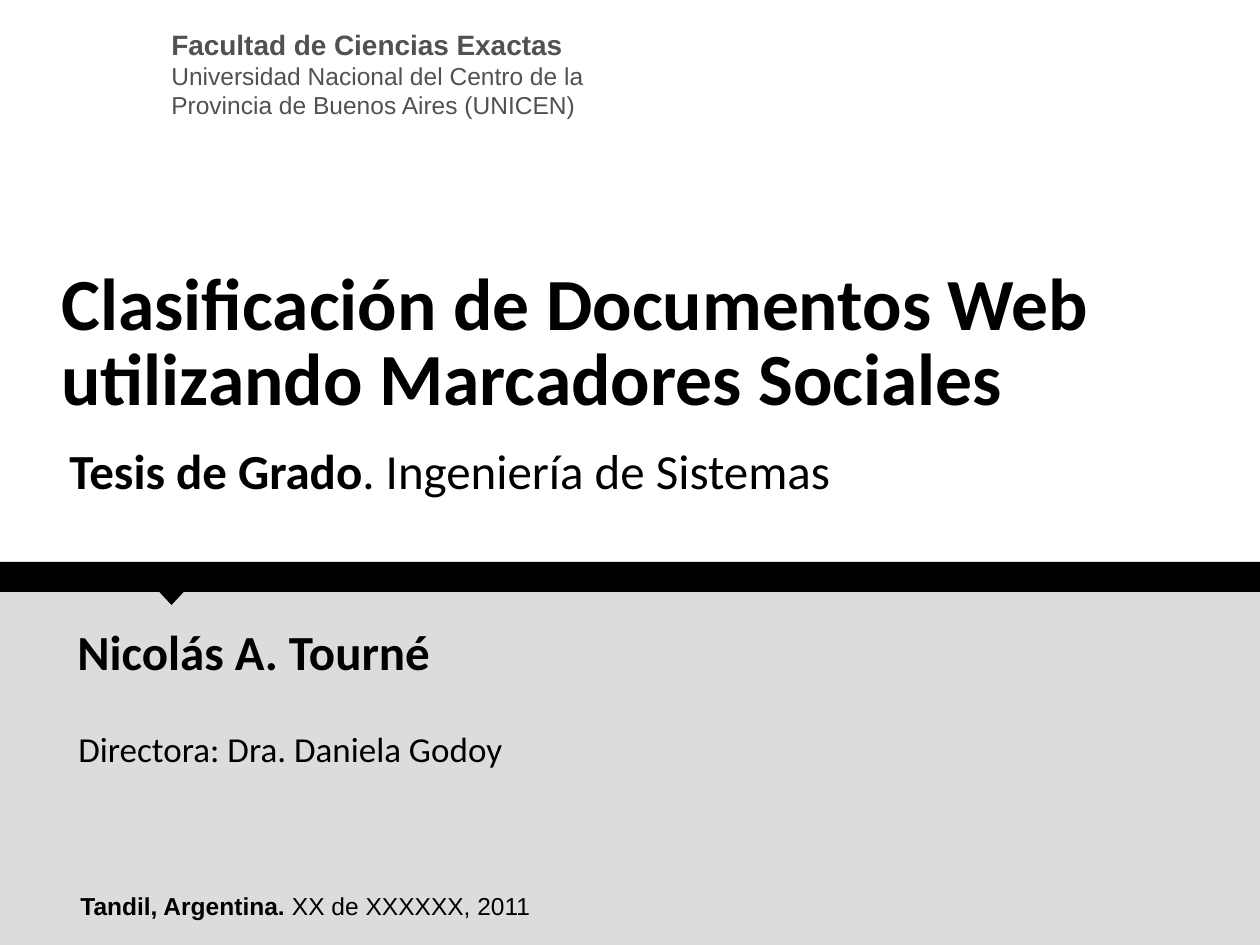
from dataclasses import dataclass

from pptx import Presentation, util as u
from pptx.dml.color import RGBColor
from pptx.enum import shapes, text

SCALE = 914400 / 126
SLIDE_WIDTH, SLIDE_HEIGHT = 1260, 945


@dataclass(frozen=True)
class Theme:
    """Colours, fonts and type sizes of the cover."""
    ink: str = "000000"
    muted: str = "515151"
    panel: str = "DCDCDC"
    sans: str = "Arial"
    display: str = "Calibri"
    title: int = 42
    heading: int = 28
    body: int = 20
    faculty: int = 16
    small: int = 14


THEME = Theme()


def px(length):
    """Turn px into EMU."""
    return u.Emu(round(length * SCALE))


def place_text(slide, box, lines, font, color=THEME.ink,
               anchor=text.MSO_ANCHOR.TOP, spacing=None):
    """Place lines of (wording, size, bold) runs in a box."""
    frame = slide.shapes.add_textbox(*map(px, box)).text_frame
    frame.word_wrap = True
    frame.vertical_anchor = anchor
    for index, line in enumerate(lines):
        paragraph = frame.add_paragraph() if index else frame.paragraphs[0]
        if spacing:
            paragraph.line_spacing = spacing
        for wording, size, bold in line:
            run = paragraph.add_run()
            run.text = wording
            run.font.name = font
            run.font.size = u.Pt(size)
            run.font.bold = bold
            run.font.color.rgb = RGBColor.from_string(color)


def place_block(slide, kind, box, color):
    """Place a plain filled shape."""
    block = slide.shapes.add_shape(kind, *map(px, box))
    block.shadow.inherit = False
    block.fill.solid()
    block.fill.fore_color.rgb = RGBColor.from_string(color)
    block.line.fill.background()


def institution(slide, left, top, width, height):
    """Place the faculty and its university."""
    place_text(slide, (left, top, width, height), [
        [("Facultad de Ciencias Exactas", THEME.faculty, True)],
        [("Universidad Nacional del Centro de la Provincia de Buenos Aires (UNICEN)",
          THEME.small, False)],
    ], THEME.sans, THEME.muted)


def thesis(slide, left, top, width, height):
    """Place the thesis title with the degree below it."""
    middle = text.MSO_ANCHOR.MIDDLE
    degree_height = 68
    place_text(slide, (left, top, width, 203), [
        [("Clasificación de Documentos Web utilizando Marcadores Sociales",
          THEME.title, True)],
    ], THEME.display, anchor=middle, spacing=0.85)
    place_text(slide, (left + 8, top + height - degree_height, width - 25, degree_height), [
        [("Tesis de Grado", THEME.heading, True),
         (". Ingeniería de Sistemas", THEME.heading, False)],
    ], THEME.display, anchor=middle)


def author_panel(slide, left, top, width, height):
    """Place the grey panel with author, director and date."""
    place_block(slide, shapes.MSO_SHAPE.RECTANGLE, (left, top, width, height), THEME.panel)
    place_text(slide, (left + 65, top + 39, 606, 72),
               [[("Nicolás A. Tourné", THEME.heading, True)]], THEME.display)
    place_text(slide, (left + 66, top + 145, 549, 55),
               [[("Directora: Dra. Daniela Godoy", THEME.body, False)]], THEME.display)
    place_text(slide, (left + 68, top + 309, 620, 43), [
        [("Tandil, Argentina. ", THEME.small, True),
         ("XX de XXXXXX, 2011", THEME.small, False)],
    ], THEME.sans)


def divider(slide, left, top, width, height):
    """Place the black band and its downward pointer."""
    place_block(slide, shapes.MSO_SHAPE.DIAMOND, (left + 157, top + 12, 29, 31), THEME.ink)
    place_block(slide, shapes.MSO_SHAPE.RECTANGLE, (left, top, width, height), THEME.ink)


def main():
    """Build and save the cover slide."""
    deck = Presentation()
    deck.slide_width, deck.slide_height = px(SLIDE_WIDTH), px(SLIDE_HEIGHT)
    cover = deck.slides.add_slide(deck.slide_layouts[6])
    panel_top = 576
    author_panel(cover, 0, panel_top, SLIDE_WIDTH, SLIDE_HEIGHT - panel_top)
    institution(cover, 159, 21, 503, 106)
    thesis(cover, 49, 244, 1126, 260)
    divider(cover, 0, 562, SLIDE_WIDTH, 30)
    deck.save("out.pptx")


if __name__ == "__main__":
    main()
